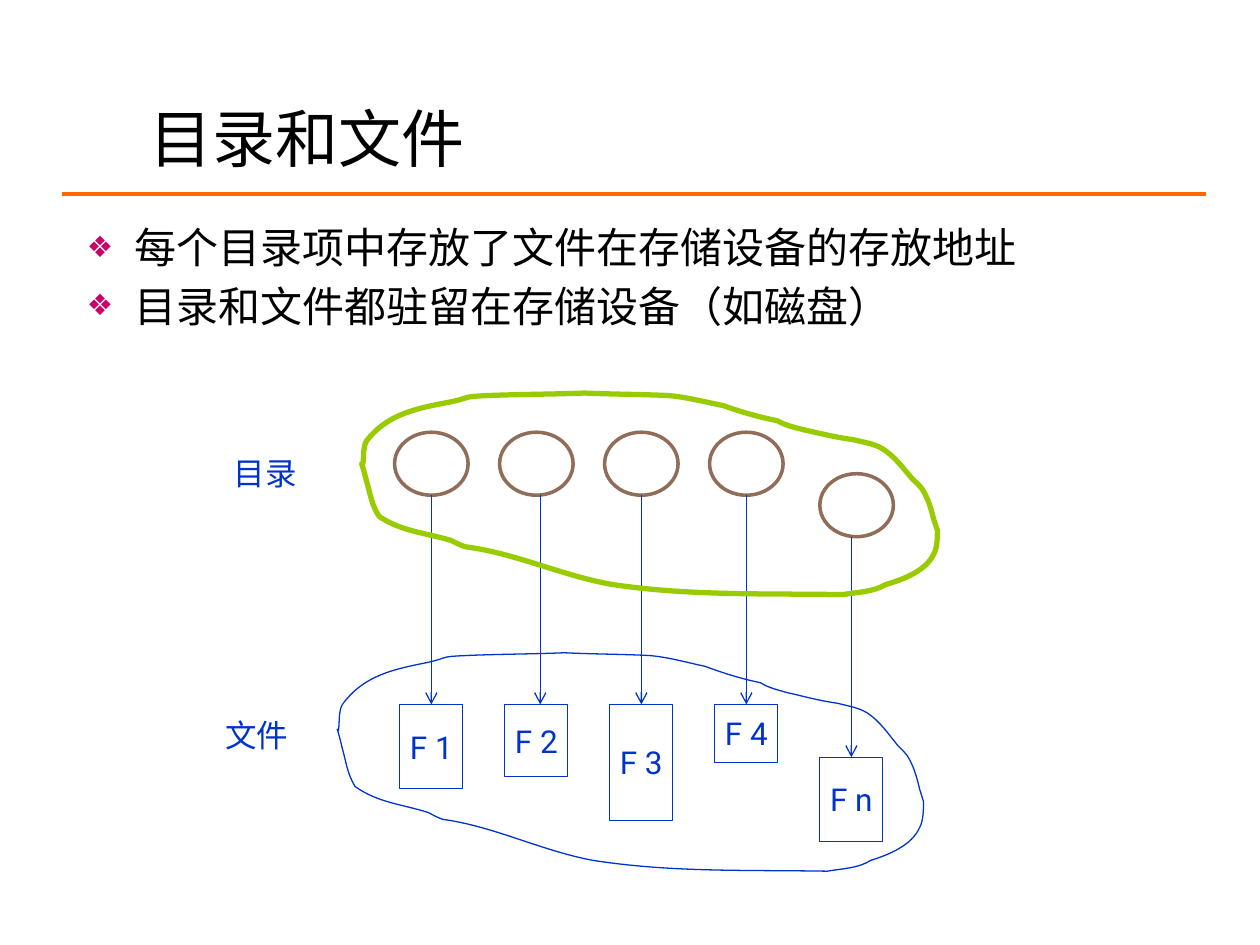
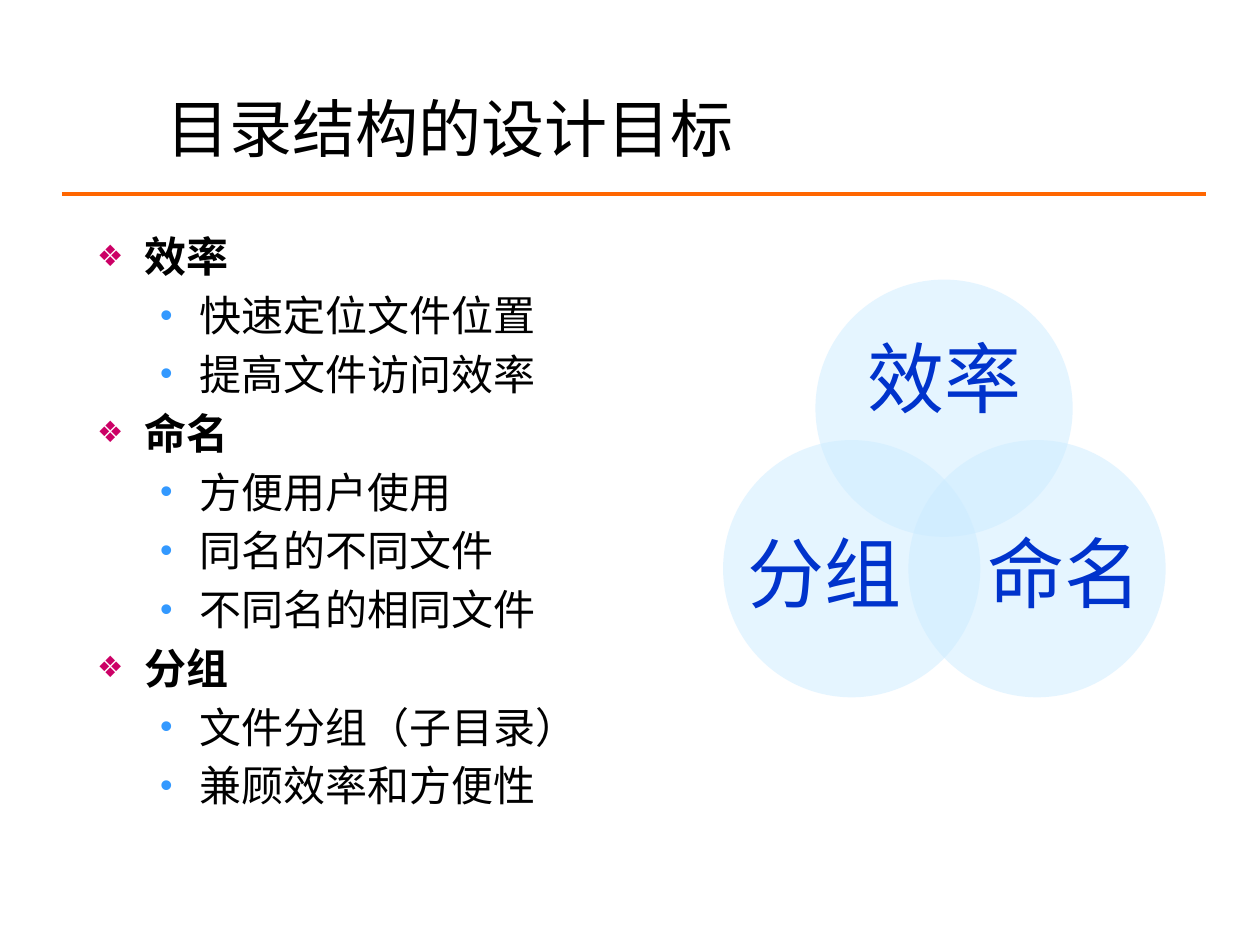
from lxml import etree
from pptx import Presentation
from pptx.dml.color import RGBColor
from pptx.enum.shapes import MSO_CONNECTOR, MSO_SHAPE
from pptx.enum.text import MSO_ANCHOR, MSO_AUTO_SIZE, PP_ALIGN
from pptx.oxml.ns import qn
from pptx.util import Pt

OVAL, RECT = MSO_SHAPE.OVAL, MSO_SHAPE.RECTANGLE
STRAIGHT = MSO_CONNECTOR.STRAIGHT
MIDDLE, TOP = MSO_ANCHOR.MIDDLE, MSO_ANCHOR.TOP
LEFT, CENTER = PP_ALIGN.LEFT, PP_ALIGN.CENTER
NO_FIT = MSO_AUTO_SIZE.NONE

BLACK, WHITE, BLUE = "000000", "FFFFFF", "0033CC"
ORANGE, GREEN, BROWN, PALE = "FF6600", "99CC00", "8F6D58", "CCECFF"
rgb = RGBColor.from_string

# Bullet styles by level: left indent, hanging indent, colour, size, character
BULLETS = [(27, 27, "CC0066", "70000", "❖"), (58.5, 22.5, "3399FF", "85000", "•")]


def add_text(tf, text, size=18, font="Roboto", color=BLUE, bold=False,
             align=CENTER, wrap=False, anchor=MIDDLE, margin=None, spacing=None):
    """Write one paragraph, using the first one while it is empty."""
    tf.word_wrap, tf.vertical_anchor, tf.auto_size = wrap, anchor, NO_FIT
    if margin is not None:
        tf.margin_left = tf.margin_right = tf.margin_top = tf.margin_bottom = Pt(margin)
    p = tf.paragraphs[0] if not tf.text else tf.add_paragraph()
    p.alignment = align
    if spacing:
        p.line_spacing = spacing
    r = p.add_run()
    r.text = text
    r.font.size, r.font.name, r.font.bold = Pt(size), font, bold
    r.font.color.rgb = rgb(color)
    return p


def add_line(s, x1, y1, x2, y2, color, width, arrow=False):
    """Draw a straight line without shadow, with an arrowhead if asked."""
    line = s.shapes.add_connector(STRAIGHT, Pt(x1), Pt(y1), Pt(x2), Pt(y2))
    line.line.color.rgb, line.line.width = rgb(color), Pt(width)
    sp_pr = line.element.spPr
    if arrow:
        etree.SubElement(sp_pr.find(qn("a:ln")), qn("a:tailEnd"), type="arrow")
    etree.SubElement(sp_pr, qn("a:effectLst"))


prs = Presentation()
prs.slide_width, prs.slide_height = Pt(720), Pt(540)

# Titles, orange rule and bullet lists of both slides
pages = [
    ("目录和文件", (78.1, 54.3, 635.8, 48.2), (42.5, 123.1, 635, 67.7), "Roboto",
     [(0, "每个目录项中存放了文件在存储设备的存放地址", False),
      (0, "目录和文件都驻留在存储设备（如磁盘）", False)]),
    ("目录结构的设计目标", (87.8, 54.7, 609.8, 36), (48.4, 128.4, 601.2, 326.9), "Arial",
     [(0, "效率", True),
      (1, "快速定位文件位置", False),
      (1, "提高文件访问效率", False),
      (0, "命名", True),
      (1, "方便用户使用", False),
      (1, "同名的不同文件", False),
      (1, "不同名的相同文件", False),
      (0, "分组", True),
      (1, "文件分组（子目录）", False),
      (1, "兼顾效率和方便性", False)]),
]
for title, title_box, body_box, font, items in pages:
    s = prs.slides.add_slide(prs.slide_layouts[5])
    sp = s.shapes.title
    sp.left, sp.top, sp.width, sp.height = map(Pt, title_box)
    add_text(sp.text_frame, title, size=36, font="Arial", color=BLACK,
             align=LEFT, wrap=True)
    add_line(s, 35.3, 110.9, 689, 110.9, ORANGE, 2.25)

    tf = s.shapes.add_textbox(*map(Pt, body_box)).text_frame
    for level, text, bold in items:
        p = add_text(tf, text, size=24, font=font, color=BLACK, bold=bold,
                     align=LEFT, wrap=True, anchor=TOP)
        p.level, p.space_before = level, Pt(4.8)
        indent, hanging, color, size, char = BULLETS[level]
        p_pr = p._p.get_or_add_pPr()
        p_pr.set("marL", str(Pt(indent)))
        p_pr.set("indent", str(-Pt(hanging)))
        bu_color = etree.SubElement(p_pr, qn("a:buClr"))
        etree.SubElement(bu_color, qn("a:srgbClr"), val=color)
        etree.SubElement(p_pr, qn("a:buSzPct"), val=size)
        etree.SubElement(p_pr, qn("a:buFont"), typeface="Arial")
        etree.SubElement(p_pr, qn("a:buChar"), char=char)

files_slide, goals_slide = prs.slides

# Slide 1: directory entries, each pointing to its file
s = files_slide
# label, shift of the entry, shift of the arrow, entry top, file top, file height
columns = [
    ("F 1", 0, 0, 247, 402.5, 48.2),
    ("F 2", 0, 2.2, 247, 402.5, 41.3),
    ("F 3", 0, 0, 247, 402.5, 66.4),
    ("F 4", 0, 0, 247, 402.5, 33.1),
    ("F n", 3, 0, 270.7, 432.7, 48.2),
]
for i, (label, entry_dx, arrow_dx, entry_top, file_top, file_h) in enumerate(columns):
    x = 225.5 + 60 * i
    entry = s.shapes.add_shape(OVAL, Pt(x + entry_dx), Pt(entry_top), Pt(42), Pt(36))
    file_box = s.shapes.add_shape(RECT, Pt(x + 3), Pt(file_top), Pt(36), Pt(file_h))
    for sp, color, width in ((entry, BROWN, 2), (file_box, BLUE, 0.75)):
        sp.shadow.inherit = False
        sp.fill.solid()
        sp.fill.fore_color.rgb = rgb(WHITE)
        sp.line.color.rgb, sp.line.width = rgb(color), Pt(width)
    add_text(file_box.text_frame, label)
    arrow_x = x + 21 + arrow_dx
    add_line(s, arrow_x, entry_top + 36, arrow_x, file_top, BLUE, 0.75, arrow=True)

# Closed outline on a 458 by 161 grid: two control points and an end per curve
start = (1, 57)
curves = [
    (2, 51, 1, 43, 4, 38), (21, 16, 45, 12, 71, 7), (89, 3, 79, 3, 101, 2),
    (126, 1, 151, 1, 177, 0), (199, 1, 221, 1, 243, 2), (257, 3, 272, 7, 287, 10),
    (301, 15, 315, 19, 330, 22), (337, 26, 343, 27, 350, 29),
    (364, 32, 375, 35, 390, 37), (398, 39, 406, 40, 413, 44),
    (423, 50, 430, 60, 437, 68), (440, 71, 444, 74, 446, 78),
    (450, 85, 452, 92, 454, 100), (455, 103, 457, 109, 457, 109),
    (457, 114, 457, 123, 454, 128), (448, 141, 430, 148, 416, 152),
    (406, 158, 394, 158, 382, 160), (318, 159, 260, 161, 199, 152),
    (159, 145, 122, 127, 82, 122), (80, 121, 79, 121, 77, 120),
    (75, 119, 73, 118, 71, 117), (51, 111, 32, 110, 14, 98),
    (8, 89, 7, 80, 4, 70), (4, 70, 1, 58, 0, 56), (0, 55, 1, 57, 1, 57),
]
outline = [start] + [c[k:k + 2] for c in curves for k in (0, 2, 4)]

# The same outline rings the entries and, stretched, the files
for left, top, w, h, color, width in (
    (206.6, 224.6, 329.8, 115.9, GREEN, 3),
    (192.7, 373, 335.8, 125.6, BLUE, 0.75),
):
    points = [(Pt(left + x * w / 458), Pt(top + y * h / 161)) for x, y in outline]
    builder = s.shapes.build_freeform(*points[0])
    builder.add_line_segments(points[1:], close=True)
    sp = builder.convert_to_shape()
    sp.shadow.inherit = False
    sp.fill.background()
    sp.line.color.rgb, sp.line.width = rgb(color), Pt(width)
    # Join every three segments into one cubic curve
    segments = list(sp.element.spPr.iter(qn("a:lnTo")))
    for k in range(0, len(segments), 3):
        curve = etree.Element(qn("a:cubicBezTo"))
        segments[k].addprevious(curve)
        for segment in segments[k:k + 3]:
            curve.append(segment[0])
            segment.getparent().remove(segment)

# Row labels
for text, x, y in (("目录", 126.5, 255.6), ("文件", 121.5, 405.4)):
    sp = s.shapes.add_textbox(Pt(x), Pt(y), Pt(50.4), Pt(28.8))
    add_text(sp.text_frame, text)

# Slide 2: three overlapping goals
group = goals_slide.shapes.add_group_shape()
for text, x, y, text_box in (
    ("效率", 466, 159.8, (485.6, 185.4, 108, 66.2)),
    ("命名", 519.1, 251.5, (563.8, 289.8, 88.6, 80.6)),
    ("分组", 413.2, 251.5, (427, 289.8, 88.6, 80.6)),
):
    sp = group.shapes.add_shape(OVAL, Pt(x), Pt(y), Pt(147), Pt(147))
    sp.shadow.inherit = False
    sp.fill.solid()
    sp.fill.fore_color.rgb = rgb(PALE)
    sp.line.fill.background()
    pale = sp.element.spPr.find(qn("a:solidFill")).find(qn("a:srgbClr"))
    etree.SubElement(pale, qn("a:alpha"), val="50000")
    sp = group.shapes.add_textbox(*map(Pt, text_box))
    add_text(sp.text_frame, text, size=44, font="Arial", wrap=True,
             margin=0, spacing=0.9)

prs.save("out.pptx")
